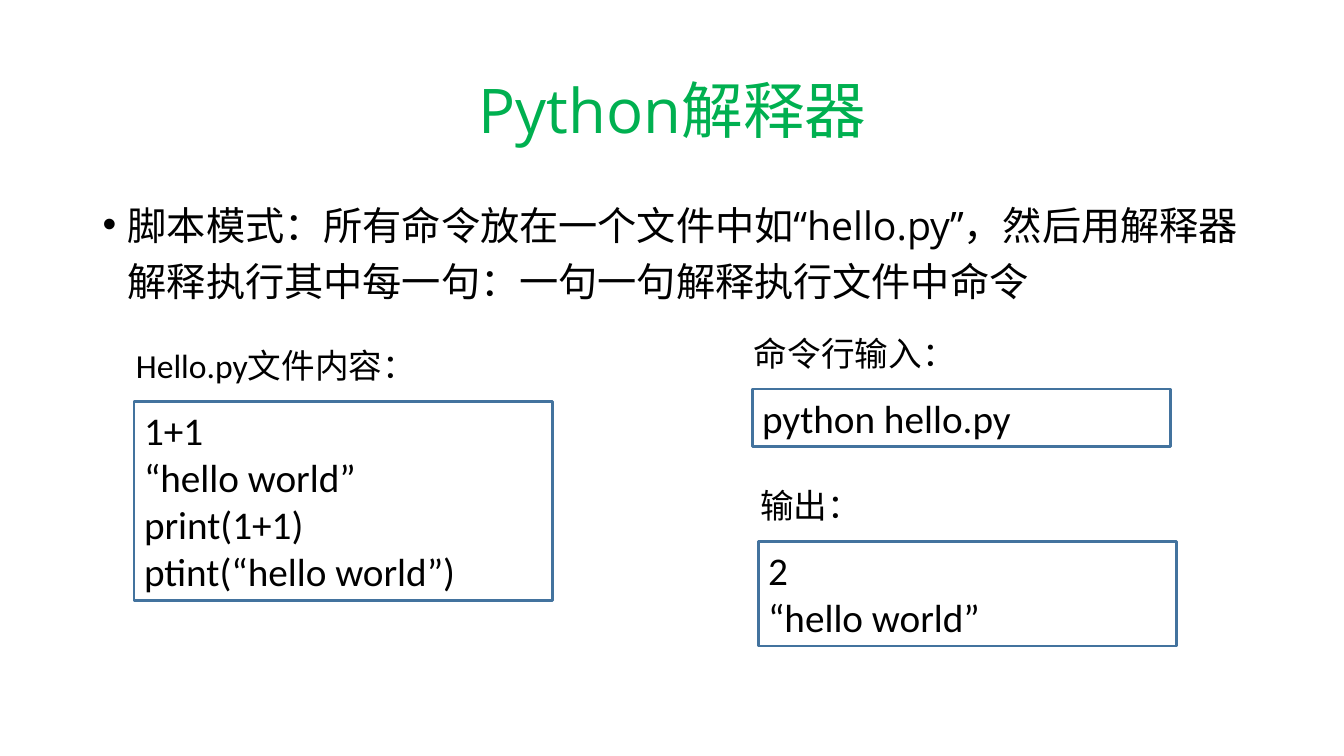
from dataclasses import dataclass

from lxml.etree import SubElement
from pptx import Presentation
from pptx.dml.color import RGBColor
from pptx.enum.shapes import MSO_SHAPE
from pptx.enum.text import MSO_ANCHOR, PP_ALIGN
from pptx.oxml.ns import qn
from pptx.shapes.autoshape import Shape
from pptx.slide import Slide
from pptx.text.text import _Paragraph
from pptx.util import Inches, Pt


@dataclass(frozen=True)
class Theme:
    heading_font: str = "Open Sans"
    code_font: str = "Calibri"
    green: RGBColor = RGBColor(0x00, 0xB0, 0x50)
    black: RGBColor = RGBColor(0x00, 0x00, 0x00)
    border: RGBColor = RGBColor(0x43, 0x73, 0x9E)
    title_size: int = 44
    body_size: int = 28
    label_size: int = 24


@dataclass(frozen=True)
class Panel:
    """A labelled code box; left and top are those of the box, in inches."""
    left: float
    top: float
    label: str
    lines: tuple[str, ...]


THEME = Theme()
TITLE = "Python解释器"
BODY = ("脚本模式：所有命令放在一个文件中如“hello.py”，"
        "然后用解释器解释执行其中每一句：一句一句解释执行文件中命令")
PANELS = (
    Panel(1.33, 3.98, "Hello.py文件内容：",
          ("1+1", "“hello world”", "print(1+1)", "ptint(“hello world”)")),
    Panel(7.46, 3.86, "命令行输入：", ("python hello.py",)),
    Panel(7.52, 5.37, "输出：", ("2", "“hello world”")),
)
BOX_WIDTH, LINE_HEIGHT, BOX_PADDING = 4.15, 0.47, 0.1
LABEL_DX, LABEL_DY, LABEL_WIDTH, LABEL_HEIGHT = -0.08, -0.61, 3.17, 0.5


def write(sp: Shape, lines: tuple[str, ...], font: str, size: int,
          color: RGBColor = THEME.black, **para_format) -> None:
    """Fill a shape with one paragraph per line, all in one format."""
    tf = sp.text_frame
    tf.word_wrap = True
    for i, line in enumerate(lines):
        p = tf.paragraphs[0] if i == 0 else tf.add_paragraph()
        for name, value in ({"alignment": PP_ALIGN.LEFT} | para_format).items():
            setattr(p, name, value)
        r = p.add_run()
        r.text = line
        for name, value in {"name": font, "size": Pt(size)}.items():
            setattr(r.font, name, value)
        r.font.color.rgb = color
        SubElement(r.font._element, qn("a:ea"), typeface=font)


def add_text(slide: Slide, left: float, top: float,
             width: float, height: float) -> Shape:
    return slide.shapes.add_textbox(
        Inches(left), Inches(top), Inches(width), Inches(height))


def add_bullet(p: _Paragraph) -> None:
    pPr = p._p.get_or_add_pPr()
    pPr.set("marL", str(Inches(0.25)))
    pPr.set("indent", str(Inches(-0.25)))
    SubElement(pPr, qn("a:buFont"), typeface="Arial")
    SubElement(pPr, qn("a:buChar"), char="•")


def add_panel(slide: Slide, panel: Panel) -> None:
    height = BOX_PADDING + LINE_HEIGHT * len(panel.lines)
    box = slide.shapes.add_shape(
        MSO_SHAPE.RECTANGLE, Inches(panel.left), Inches(panel.top),
        Inches(BOX_WIDTH), Inches(height))
    box.shadow.inherit = False
    box.fill.background()
    box.line.color.rgb = THEME.border
    box.line.width = Pt(2)
    box.text_frame.vertical_anchor = MSO_ANCHOR.TOP
    write(box, panel.lines, THEME.code_font, THEME.body_size)

    label = add_text(slide, panel.left + LABEL_DX, panel.top + LABEL_DY,
                     LABEL_WIDTH, LABEL_HEIGHT)
    write(label, (panel.label,), THEME.code_font, THEME.label_size)


def main() -> None:
    prs = Presentation()
    prs.slide_width, prs.slide_height = Inches(13.33), Inches(7.5)
    slide = prs.slides.add_slide(prs.slide_layouts[6])

    title = add_text(slide, 0.92, 0.4, 11.5, 1.45)
    title.text_frame.vertical_anchor = MSO_ANCHOR.MIDDLE
    write(title, (TITLE,), THEME.heading_font, THEME.title_size, THEME.green,
          alignment=PP_ALIGN.CENTER, line_spacing=0.9)

    body = add_text(slide, 0.92, 1.85, 11.5, 1.41)
    write(body, (BODY,), THEME.heading_font, THEME.body_size,
          line_spacing=1.2, space_before=Pt(10))
    add_bullet(body.text_frame.paragraphs[0])

    for panel in PANELS:
        add_panel(slide, panel)
    prs.save("out.pptx")


if __name__ == "__main__":
    main()
